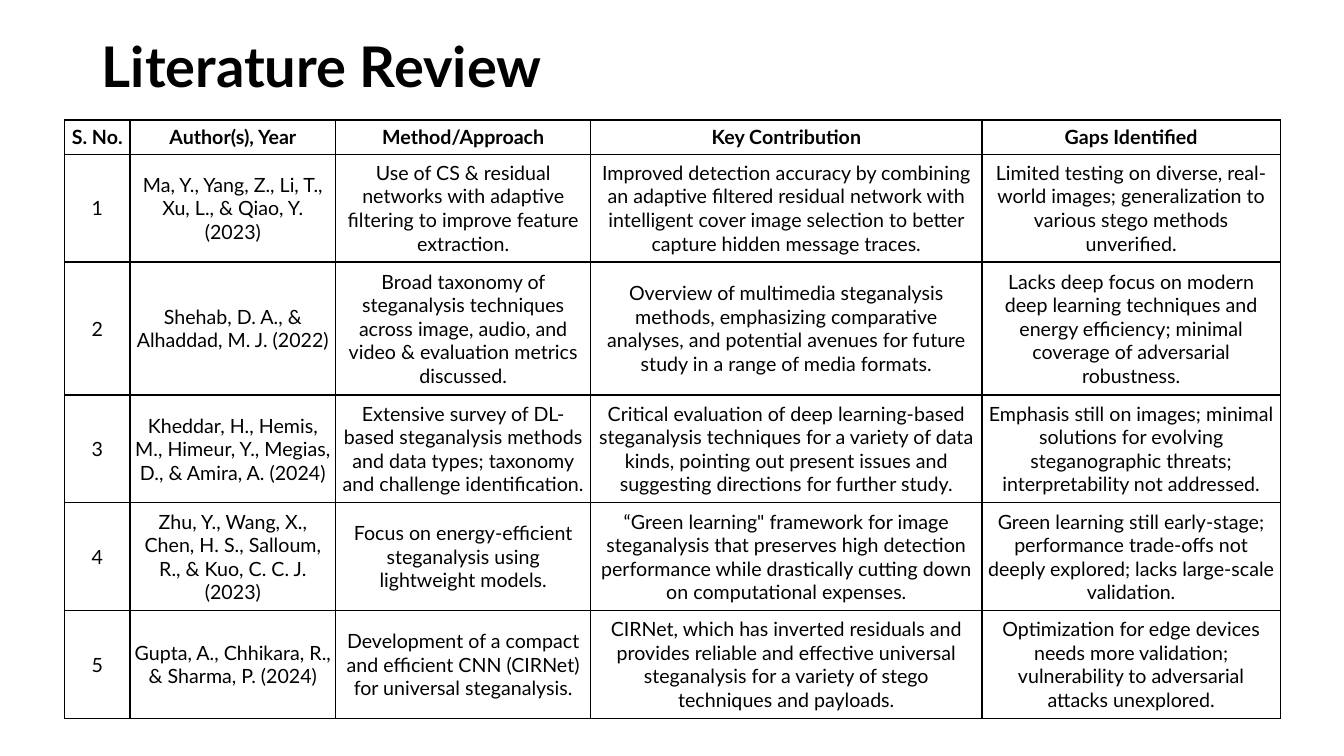
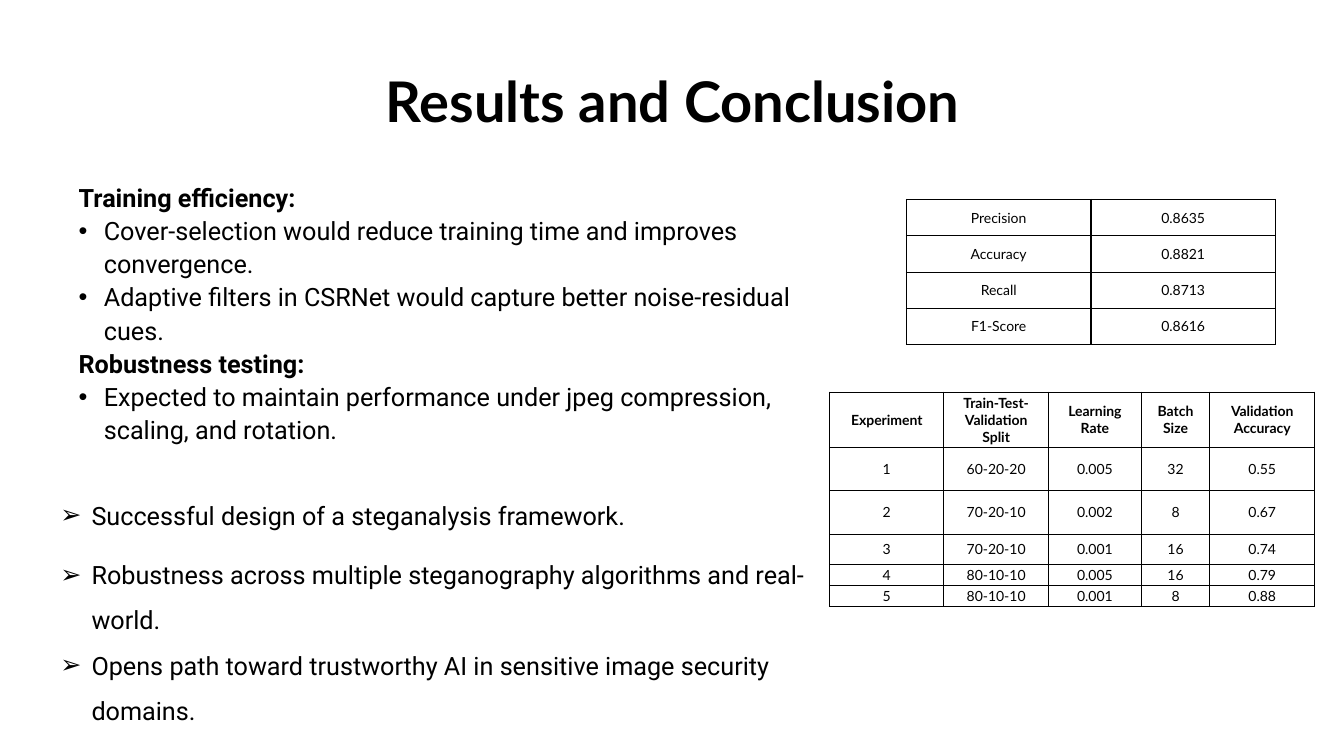
from dataclasses import dataclass

from lxml.etree import SubElement
from pptx import Presentation
from pptx.dml.color import RGBColor
from pptx.enum.text import MSO_ANCHOR, MSO_AUTO_SIZE, PP_ALIGN
from pptx.oxml import parse_xml
from pptx.oxml.ns import nsdecls, qn
from pptx.util import Inches, Pt


@dataclass(frozen=True)
class Theme:
    ink: RGBColor = RGBColor(0, 0, 0)
    heading_font: str = "Lato"
    list_font: str = "Roboto"
    bullet_font: str = "Arial"
    title_size: int = 40
    list_size: int = 18
    review_size: int = 14
    result_size: int = 10
    border: int = 1


THEME = Theme()


def add_text(frame, text, *, size, font=THEME.heading_font, bold=False,
             align=PP_ALIGN.LEFT, line=1.0, before=0, bullet=None, indent=0):
    """Fill the frame's first paragraph if it is empty, else add another."""
    paragraph = frame.paragraphs[0]
    if paragraph.runs:
        paragraph = frame.add_paragraph()
    paragraph.alignment = align
    paragraph.line_spacing = line
    paragraph.space_before = Pt(before)
    run = paragraph.add_run()
    run.text = text
    run.font.size = Pt(size)
    run.font.name = font
    run.font.bold = bold
    run.font.color.rgb = THEME.ink

    properties = paragraph._p.get_or_add_pPr()
    properties.set("marL", str(Inches(indent)))
    properties.set("indent", str(-Inches(indent)))
    if bullet:
        SubElement(properties, qn("a:buFont"), typeface=THEME.bullet_font)
        SubElement(properties, qn("a:buChar"), char=bullet)
    else:
        SubElement(properties, qn("a:buNone"))


def add_grid(slide, rows, *, left, top, widths, heights, size, inset, header=True):
    """Add a bordered, unfilled table; inset is (horizontal, vertical) inches."""
    table = slide.shapes.add_table(
        len(rows), len(widths), Inches(left), Inches(top),
        Inches(sum(widths)), Inches(sum(heights))).table
    table.first_row = header
    table.horz_banding = False
    for column, width in zip(table.columns, widths):
        column.width = Inches(width)
    for r, (values, height) in enumerate(zip(rows, heights)):
        table.rows[r].height = Inches(height)
        for c, value in enumerate(values):
            cell = table.cell(r, c)
            cell.vertical_anchor = MSO_ANCHOR.MIDDLE
            cell.margin_left = cell.margin_right = Inches(inset[0])
            cell.margin_top = cell.margin_bottom = Inches(inset[1])
            cell.fill.background()
            add_text(cell.text_frame, value, size=size, align=PP_ALIGN.CENTER,
                     bold=header and r == 0)
            for position, side in enumerate(("lnL", "lnR", "lnT", "lnB")):
                cell._tc.get_or_add_tcPr().insert(position, parse_xml(
                    f'<a:{side} {nsdecls("a")} w="{Pt(THEME.border)}"><a:solidFill>'
                    f'<a:srgbClr val="{THEME.ink}"/></a:solidFill></a:{side}>'))


presentation = Presentation()
presentation.slide_width = Inches(13.33)
presentation.slide_height = Inches(7.5)
review = presentation.slides.add_slide(presentation.slide_layouts[5])
results = presentation.slides.add_slide(presentation.slide_layouts[1])

# Titles
for slide, heading, align, box in (
    (review, "Literature Review", PP_ALIGN.LEFT, (0.91, 0.34, 11.5, 1.39)),
    (results, "Results and Conclusion", PP_ALIGN.CENTER, (1.26, 0.69, 10.82, 1.13)),
):
    title = slide.shapes.title
    title.left, title.top, title.width, title.height = map(Inches, box)
    title.text_frame.vertical_anchor = MSO_ANCHOR.TOP
    title.text_frame.auto_size = MSO_AUTO_SIZE.NONE
    add_text(title.text_frame, heading, size=THEME.title_size, bold=True,
             align=align, line=0.9)

# Literature review
studies = [
    ("Ma, Y., Yang, Z., Li, T., Xu, L., & Qiao, Y. (2023)",
     "Use of CS & residual networks with adaptive filtering to improve feature "
     "extraction.",
     "Improved detection accuracy by combining an adaptive filtered residual network "
     "with intelligent cover image selection to better capture hidden message traces.",
     "Limited testing on diverse, real-world images; generalization to various stego "
     "methods unverified."),
    ("Shehab, D. A., & Alhaddad, M. J. (2022)",
     "Broad taxonomy of steganalysis techniques across image, audio, and video & "
     "evaluation metrics discussed.",
     "Overview of multimedia steganalysis methods, emphasizing comparative analyses, "
     "and potential avenues for future study in a range of media formats.",
     "Lacks deep focus on modern deep learning techniques and energy efficiency; "
     "minimal coverage of adversarial robustness."),
    ("Kheddar, H., Hemis, M., Himeur, Y., Megias, D., & Amira, A. (2024)",
     "Extensive survey of DL-based steganalysis methods and data types; taxonomy and "
     "challenge identification.",
     "Critical evaluation of deep learning-based steganalysis techniques for a variety "
     "of data kinds, pointing out present issues and suggesting directions for further "
     "study.",
     "Emphasis still on images; minimal solutions for evolving steganographic threats; "
     "interpretability not addressed."),
    ("Zhu, Y., Wang, X., Chen, H. S., Salloum, R., & Kuo, C. C. J. (2023)",
     "Focus on energy-efficient steganalysis using lightweight models.",
     "“Green learning\" framework for image steganalysis that preserves high detection "
     "performance while drastically cutting down on computational expenses.",
     "Green learning still early-stage; performance trade-offs not deeply explored; "
     "lacks large-scale validation."),
    ("Gupta, A., Chhikara, R., & Sharma, P. (2024)",
     "Development of a compact and efficient CNN (CIRNet) for universal steganalysis.",
     "CIRNet, which has inverted residuals and provides reliable and effective "
     "universal steganalysis for a variety of stego techniques and payloads.",
     "Optimization for edge devices needs more validation; vulnerability to adversarial "
     "attacks unexplored."),
]
study_rows = [("S. No.", "Author(s), Year", "Method/Approach", "Key Contribution",
               "Gaps Identified")]
study_rows += [(str(number), *study) for number, study in enumerate(studies, 1)]
add_grid(review, study_rows, left=0.64, top=1.19,
         widths=(0.65, 2.04, 2.53, 3.88, 2.96),
         heights=(0.34, 1.07, 1.32, 1.07, 1.07, 1.07),
         size=THEME.review_size, inset=(0.04, 0.02))

# Findings
findings = results.placeholders[1]
findings.left, findings.top = Inches(0.68), Inches(2.18)
findings.width, findings.height = Inches(7.44), Inches(1.83)
findings.text_frame.vertical_anchor = MSO_ANCHOR.MIDDLE
findings.text_frame.auto_size = MSO_AUTO_SIZE.NONE
for topic, points in (
    ("Training efficiency:",
     ("Cover-selection would reduce training time and improves convergence.",
      "Adaptive filters in CSRNet would capture better noise-residual cues.")),
    ("Robustness testing:",
     ("Expected to maintain performance under jpeg compression, scaling, and "
      "rotation.",)),
):
    add_text(findings.text_frame, topic, size=THEME.list_size, font=THEME.list_font,
             bold=True, line=1.1)
    for point in points:
        add_text(findings.text_frame, point, size=THEME.list_size,
                 font=THEME.list_font, line=1.1, bullet="•", indent=0.25)

# Conclusions
conclusions = results.shapes.add_textbox(
    Inches(0.5), Inches(4.76), Inches(7.63), Inches(2.46)).text_frame
conclusions.word_wrap = True
for conclusion, before in (
    ("Successful design of a steganalysis framework.", 10),
    ("Robustness across multiple steganography algorithms and real-world.", 10),
    ("Opens path toward trustworthy AI in sensitive image security domains.", 0),
):
    add_text(conclusions, conclusion, size=THEME.list_size, font=THEME.list_font,
             line=1.5, before=before, bullet="➢", indent=0.31)

# Measured results
scores = [("Precision", "0.8635"), ("Accuracy", "0.8821"),
          ("Recall", "0.8713"), ("F1-Score", "0.8616")]
add_grid(results, scores, left=8.99, top=1.98, widths=[1.83] * 2,
         heights=[0.36] * len(scores), size=THEME.result_size, inset=(0.07, 0),
         header=False)

experiments = [
    ("Experiment", "Train-Test- Validation Split", "Learning Rate", "Batch Size",
     "Validation Accuracy"),
    ("1", "60-20-20", "0.005", "32", "0.55"),
    ("2", "70-20-10", "0.002", "8", "0.67"),
    ("3", "70-20-10", "0.001", "16", "0.74"),
    ("4", "80-10-10", "0.005", "16", "0.79"),
    ("5", "80-10-10", "0.001", "8", "0.88"),
]
add_grid(results, experiments, left=8.23, top=3.89,
         widths=(1.13, 1.04, 0.92, 0.68, 1.04),
         heights=(0.55, 0.43, 0.43, 0.3, 0.21, 0.21),
         size=THEME.result_size, inset=(0.07, 0))

presentation.save("out.pptx")
